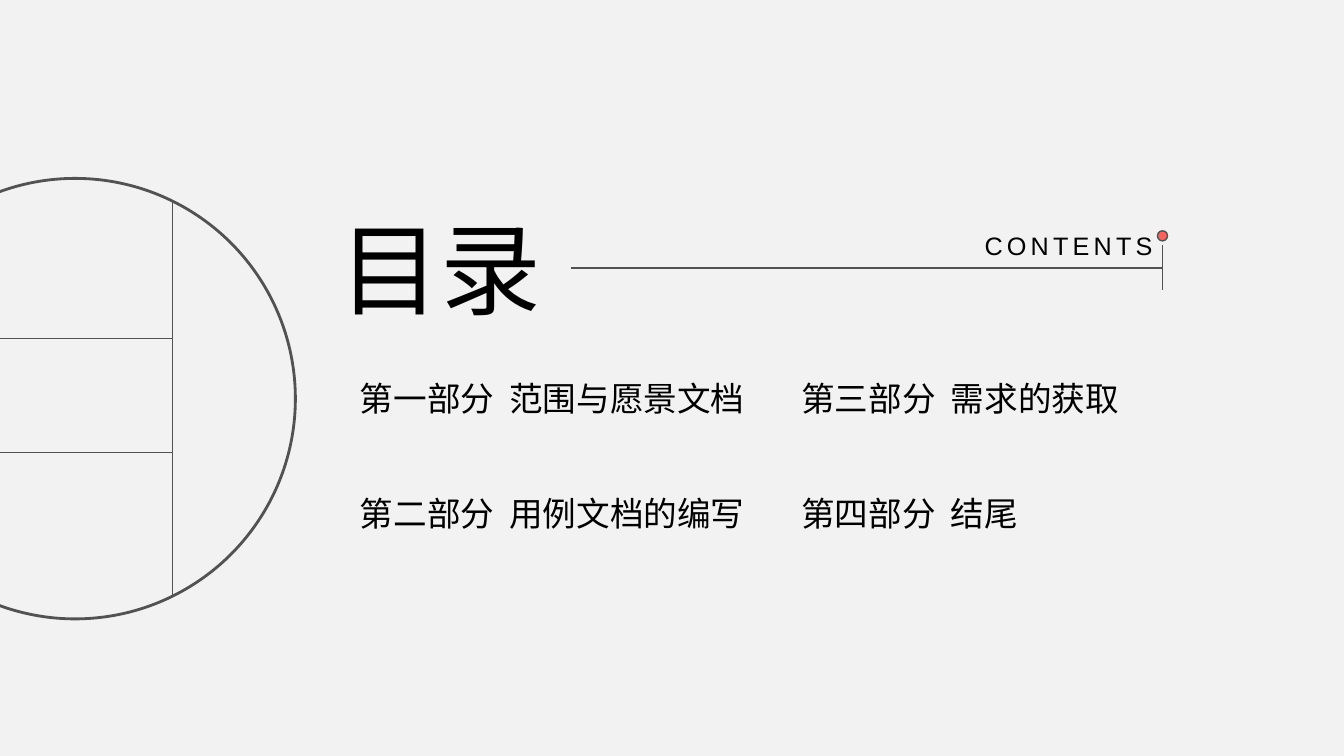
from math import sqrt
from lxml import etree
from pptx import Presentation
from pptx.dml.color import RGBColor
from pptx.enum.shapes import MSO_CONNECTOR, MSO_SHAPE
from pptx.enum.text import MSO_AUTO_SIZE, PP_ALIGN
from pptx.oxml.ns import qn
from pptx.util import Inches, Pt

STRAIGHT, OVAL = MSO_CONNECTOR.STRAIGHT, MSO_SHAPE.OVAL
LEFT, RIGHT = PP_ALIGN.LEFT, PP_ALIGN.RIGHT
GROW = MSO_AUTO_SIZE.SHAPE_TO_FIT_TEXT
BACKGROUND = RGBColor(0xF2, 0xF2, 0xF2)
BLACK = RGBColor(0, 0, 0)
GRAY = RGBColor(0x52, 0x52, 0x52)
CORAL = RGBColor(0xF3, 0x64, 0x60)

TITLE = "目录"
SUBTITLE = "CONTENTS"
SECTION_COLUMNS = [
    ["第一部分  范围与愿景文档", "第二部分  用例文档的编写"],
    ["第三部分  需求的获取", "第四部分  结尾"],
]
COLUMN_LEFTS = [3.47, 7.85]
COLUMN_WIDTHS = [4.22, 3.84]
ROW_TOP, ROW_STEP = 3.7, 1.14

CIRCLE_LEFT, CIRCLE_TOP, DIAMETER = -1.44, 1.77, 4.37
CHORD_X = 1.71
BAR_HEIGHTS = [3.36, 4.49]
RULE_LEFT, RULE_RIGHT, RULE_Y = 5.66, 11.53, 2.66
POST_TOP, POST_BOTTOM = 2.43, 2.88
DOT_TOP, DOT_SIZE = 2.29, 0.1

presentation = Presentation()
presentation.slide_width, presentation.slide_height = Inches(13.33), Inches(7.5)
slide = presentation.slides.add_slide(presentation.slide_layouts[6])
slide.background.fill.solid()
slide.background.fill.fore_color.rgb = BACKGROUND


def add_text(text, left, top, width, height, size, alignment=LEFT, spacing=0):
    box = slide.shapes.add_textbox(*map(Inches, (left, top, width, height)))
    box.text_frame.word_wrap = True
    box.text_frame.auto_size = GROW
    paragraph = box.text_frame.paragraphs[0]
    paragraph.alignment = alignment
    run = paragraph.add_run()
    run.text = text
    font_format = {"name": "Arial", "size": Pt(size)}
    for name, value in font_format.items():
        setattr(run.font, name, value)
    run.font.color.rgb = BLACK
    if spacing:
        run.font._element.set("spc", str(spacing * 100))


def add_line(*ends):
    line = slide.shapes.add_connector(STRAIGHT, *map(Inches, ends))
    line.line.color.rgb = GRAY
    line.line.width = Pt(1)
    etree.SubElement(line._element.spPr, qn("a:effectLst"))


def add_circle(left, top, size, line_width, color=None):
    circle = slide.shapes.add_shape(OVAL, *map(Inches, (left, top, size, size)))
    circle.shadow.inherit = False
    circle.line.color.rgb = GRAY
    circle.line.width = Pt(line_width)
    if color is None:
        circle.fill.background()
    else:
        circle.fill.solid()
        circle.fill.fore_color.rgb = color


add_text(TITLE, 2.53, 2, 2.94, 1.31, 72, RIGHT)
add_text(SUBTITLE, 9.04, 2.24, 2.49, 0.42, 18, RIGHT, 3)
for sections, left, width in zip(SECTION_COLUMNS, COLUMN_LEFTS, COLUMN_WIDTHS):
    for row, section in enumerate(sections):
        add_text(section, left, ROW_TOP + row * ROW_STEP, width, 0.5, 24)

add_circle(CIRCLE_LEFT, CIRCLE_TOP, DIAMETER, 2)
radius = DIAMETER / 2
center_x, center_y = CIRCLE_LEFT + radius, CIRCLE_TOP + radius
half_chord = sqrt(radius ** 2 - (CHORD_X - center_x) ** 2)
add_line(CHORD_X, center_y - half_chord, CHORD_X, center_y + half_chord)
for bar_y in BAR_HEIGHTS:
    add_line(CIRCLE_LEFT, bar_y, CHORD_X, bar_y)

add_line(RULE_LEFT, RULE_Y, RULE_RIGHT, RULE_Y)
add_line(RULE_RIGHT, POST_TOP, RULE_RIGHT, POST_BOTTOM)
add_circle(RULE_RIGHT - DOT_SIZE / 2, DOT_TOP, DOT_SIZE, 1, CORAL)

presentation.save("out.pptx")
